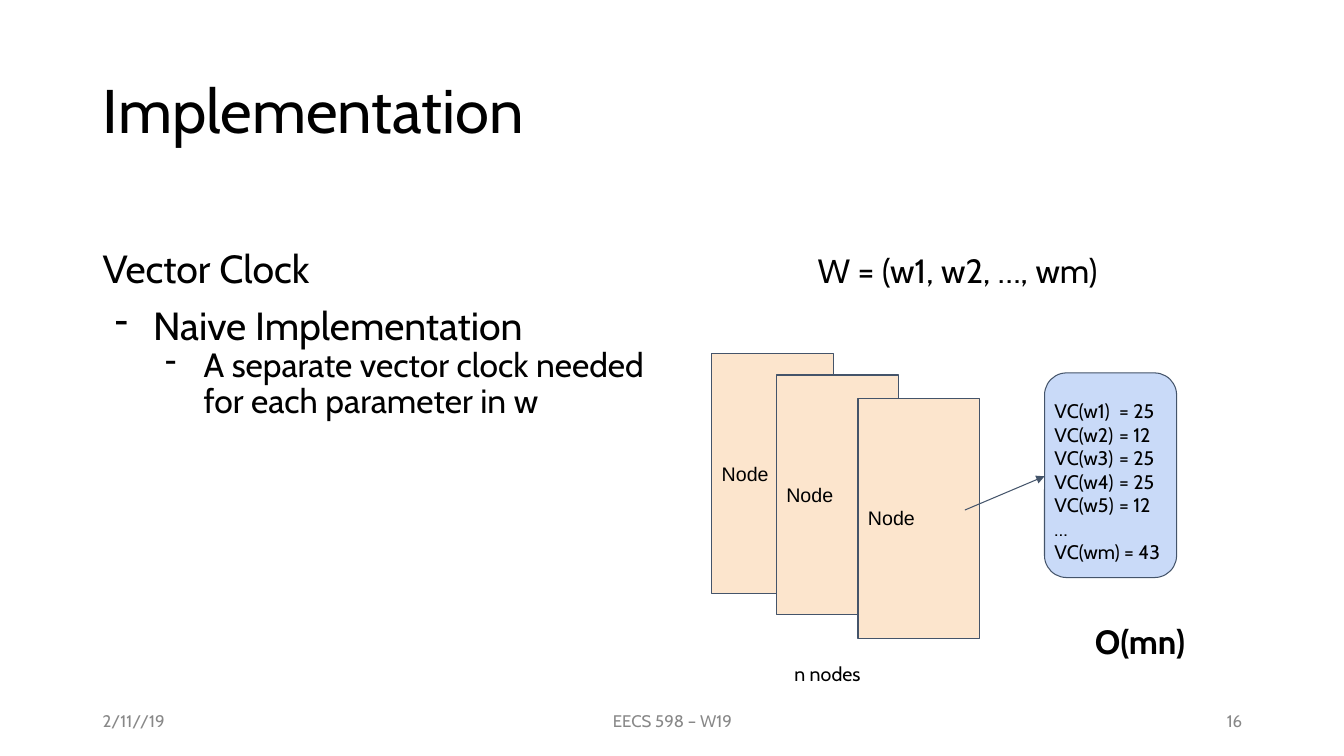
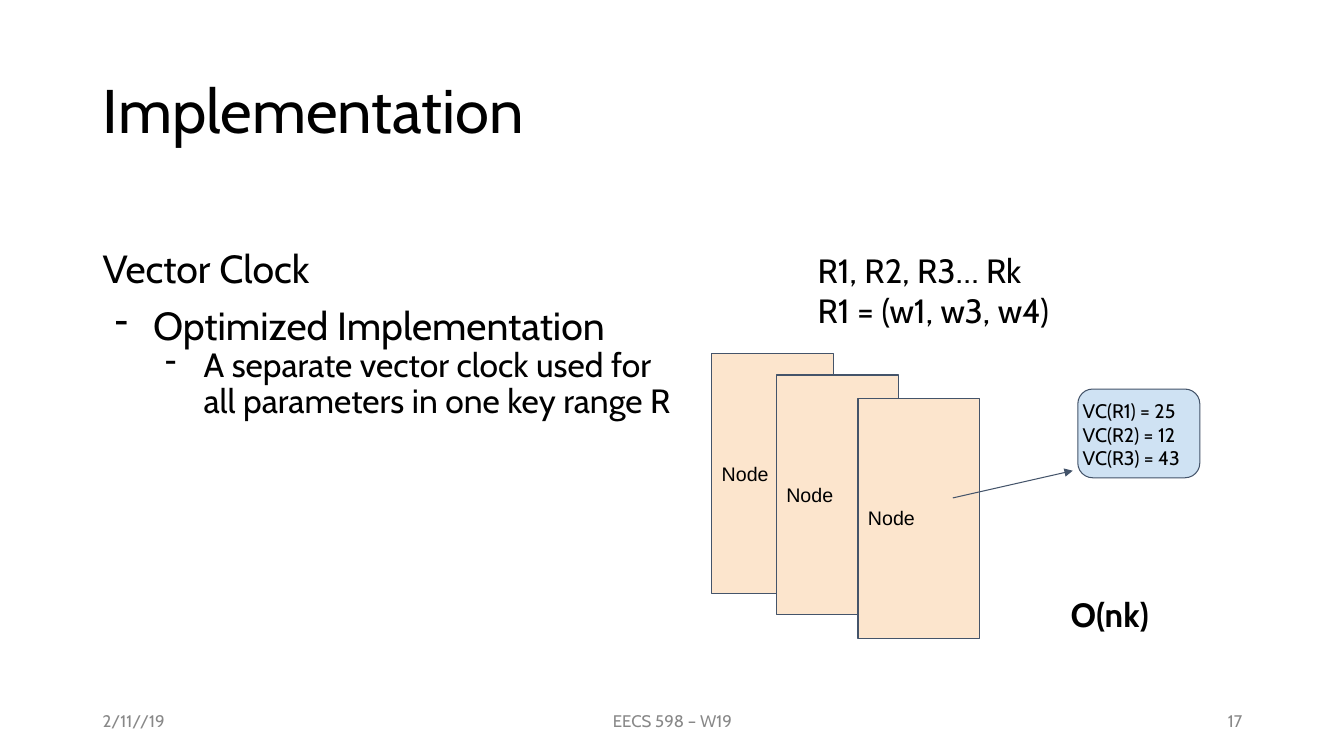
from lxml.etree import SubElement
from pptx import Presentation
from pptx.dml.color import RGBColor
from pptx.enum.shapes import MSO_CONNECTOR, MSO_SHAPE
from pptx.enum.text import MSO_ANCHOR, MSO_AUTO_SIZE, PP_ALIGN
from pptx.oxml.ns import qn
from pptx.util import Inches, Pt

# Shared colours and fonts
BLACK = RGBColor(0x00, 0x00, 0x00)
GREY = RGBColor(0x88, 0x88, 0x88)
SLATE = RGBColor(0x44, 0x54, 0x6A)
PEACH = RGBColor(0xFC, 0xE5, 0xCD)
PERIWINKLE = RGBColor(0xC9, 0xDA, 0xF8)
SKY = RGBColor(0xCF, 0xE2, 0xF3)
FONT = "Cabin"
NODE_FONT = "Arial"

# Shared geometry, in inches: left, top, width, height
TITLE_BOX = (0.92, 0.4, 11.5, 1.45)
BODY_BOX = (0.92, 2.43, 5.92, 2.2)
FORMULA_BOX = (8.01, 2.38, 4.32, 0.94)
NODE_CORNERS = [(7.06, 3.51), (7.7, 3.72), (8.51, 3.95)]
NODE_SIZE = (1.21, 2.38)
FOOTER_TOP, FOOTER_HEIGHT = 6.95, 0.4
FIRST_NUMBER = 16

# Outline levels: text size, space before, left indent, bullet
LEVELS = [(28, 0, 0, None), (28, 10, 0.5, "-"), (24, 0, 1, "-")]
HANGING = 0.38

SLIDES = [
    {
        "outline": ["Vector Clock", "Naive Implementation",
                    "A separate vector clock needed for each parameter in w"],
        "formula": ["W = (w1, w2, …, wm)"],
        "panel": (10.36, 3.7, 1.31, 2.03),
        "panel_fill": PERIWINKLE,
        "clocks_box": (10.36, 3.86, 1.89, 1.73),
        "clocks": ["VC(w1)\t= 25", "VC(w2)\t= 12", "VC(w3)\t= 25",
                   "VC(w4)\t= 25", "VC(w5)\t= 12", "…", "VC(wm) = 43"],
        "arrow_start": (9.57, 5.06),
        "cost": "O(mn)",
        "cost_box": (10.76, 6.06, 1.5, 0.55),
        "caption": "n nodes",
    },
    {
        "outline": ["Vector Clock", "Optimized Implementation",
                    "A separate vector clock used for all parameters "
                    "in one key range R"],
        "formula": ["R1, R2, R3… Rk", "R1 = (w1, w3, w4)"],
        "panel": (10.69, 3.86, 1.21, 0.88),
        "panel_fill": SKY,
        "clocks_box": (10.64, 3.86, 1.3, 1.62),
        "clocks": ["VC(R1) = 25", "VC(R2) = 12", "VC(R3) = 43"],
        "arrow_start": (9.45, 4.94),
        "cost": "O(nk)",
        "cost_box": (10.52, 5.79, 1.73, 0.63),
        "caption": None,
    },
]
CAPTION_BOX = (7.78, 6.47, 1.38, 0.34)


def inches(values):
    return [Inches(v) for v in values]


def set_all(target, formats):
    for name, value in formats.items():
        setattr(target, name, value)


def set_font(font, size, color=BLACK, name=FONT, bold=False):
    set_all(font, {"size": Pt(size), "name": name, "bold": bold})
    font.color.rgb = color


def set_frame(tf, anchor=MSO_ANCHOR.TOP, pad=0.1):
    set_all(tf, {
        "word_wrap": True, "auto_size": MSO_AUTO_SIZE.NONE,
        "vertical_anchor": anchor,
        "margin_left": Inches(0.1), "margin_right": Inches(0.1),
        "margin_top": Inches(pad), "margin_bottom": Inches(pad),
    })


def write_lines(tf, lines, size, align=PP_ALIGN.LEFT, **font):
    for i, line in enumerate(lines):
        p = tf.add_paragraph() if i else tf.paragraphs[0]
        p.alignment = align
        r = p.add_run()
        r.text = line
        set_font(r.font, size, **font)


def add_text(s, box, lines, size, anchor=MSO_ANCHOR.TOP, pad=0.1, **style):
    sp = s.shapes.add_textbox(*inches(box))
    set_frame(sp.text_frame, anchor, pad)
    write_lines(sp.text_frame, lines, size, **style)
    return sp


def add_box(s, kind, box, fill):
    sp = s.shapes.add_shape(kind, *inches(box))
    sp.shadow.inherit = False
    sp.fill.solid()
    sp.fill.fore_color.rgb = fill
    sp.line.color.rgb = SLATE
    sp.line.width = Pt(0.75)
    return sp


def set_title(s, text):
    sp = s.shapes.title
    set_all(sp, dict(zip(("left", "top", "width", "height"),
                         inches(TITLE_BOX))))
    set_frame(sp.text_frame, MSO_ANCHOR.MIDDLE, 0.05)
    write_lines(sp.text_frame, [text], 44)
    sp.text_frame.paragraphs[0].line_spacing = 0.9


def add_outline(s, lines):
    tf = add_text(s, BODY_BOX, lines, LEVELS[0][0], pad=0.05).text_frame
    for p, (size, before, indent, bullet) in zip(tf.paragraphs, LEVELS):
        set_all(p, {"line_spacing": 0.9, "space_before": Pt(before)})
        p.runs[0].font.size = Pt(size)
        if bullet:
            pPr = p._p.get_or_add_pPr()
            pPr.set("marL", str(Inches(indent)))
            pPr.set("indent", str(-Inches(HANGING)))
            SubElement(pPr, qn("a:buChar"), char=bullet)


def add_nodes(s):
    for corner in NODE_CORNERS:
        sp = add_box(s, MSO_SHAPE.RECTANGLE, corner + NODE_SIZE, PEACH)
        set_frame(sp.text_frame, MSO_ANCHOR.MIDDLE)
        write_lines(sp.text_frame, ["Node"], 14, name=NODE_FONT)


def add_clocks(s, content):
    add_box(s, MSO_SHAPE.ROUNDED_RECTANGLE, content["panel"],
            content["panel_fill"])
    sp = add_text(s, content["clocks_box"], content["clocks"], 14)
    # Tab stop that lines up the equals signs
    for p in sp.text_frame.paragraphs:
        if "\t" in p.text:
            tabs = SubElement(p._p.get_or_add_pPr(), qn("a:tabLst"))
            SubElement(tabs, qn("a:tab"), pos=str(Inches(0.64)), algn="l")
    return sp


def add_arrow(s, start, target):
    x, y = inches(start)
    line = s.shapes.add_connector(MSO_CONNECTOR.STRAIGHT, x, y, x, y)
    line.end_connect(target, 1)
    line.line.color.rgb = SLATE
    line.line.width = Pt(0.75)
    SubElement(line.line._get_or_add_ln(), qn("a:tailEnd"), type="triangle")
    SubElement(line._element.spPr, qn("a:effectLst"))


def add_footer(s, number):
    for left, width, text, align in [
        (0.92, 3, "2/11//19", PP_ALIGN.LEFT),
        (4.42, 4.5, "EECS 598 – W19", PP_ALIGN.CENTER),
        (9.42, 3, str(number), PP_ALIGN.RIGHT),
    ]:
        add_text(s, (left, FOOTER_TOP, width, FOOTER_HEIGHT), [text], 12,
                 MSO_ANCHOR.MIDDLE, 0.05, align=align, color=GREY)


def build_slide(prs, number, content):
    s = prs.slides.add_slide(prs.slide_layouts.get_by_name("Title Only"))
    set_title(s, "Implementation")
    add_outline(s, content["outline"])
    add_footer(s, number)

    # Diagram: nodes and the clocks each one keeps
    add_text(s, FORMULA_BOX, content["formula"], 24)
    add_nodes(s)
    clocks = add_clocks(s, content)
    add_arrow(s, content["arrow_start"], clocks)
    if content["caption"]:
        add_text(s, CAPTION_BOX, [content["caption"]], 14)
    add_text(s, content["cost_box"], [content["cost"]], 24, bold=True)


def main():
    prs = Presentation()
    prs.slide_width, prs.slide_height = inches((13.33, 7.5))
    for number, content in enumerate(SLIDES, FIRST_NUMBER):
        build_slide(prs, number, content)
    prs.save("out.pptx")


if __name__ == "__main__":
    main()
